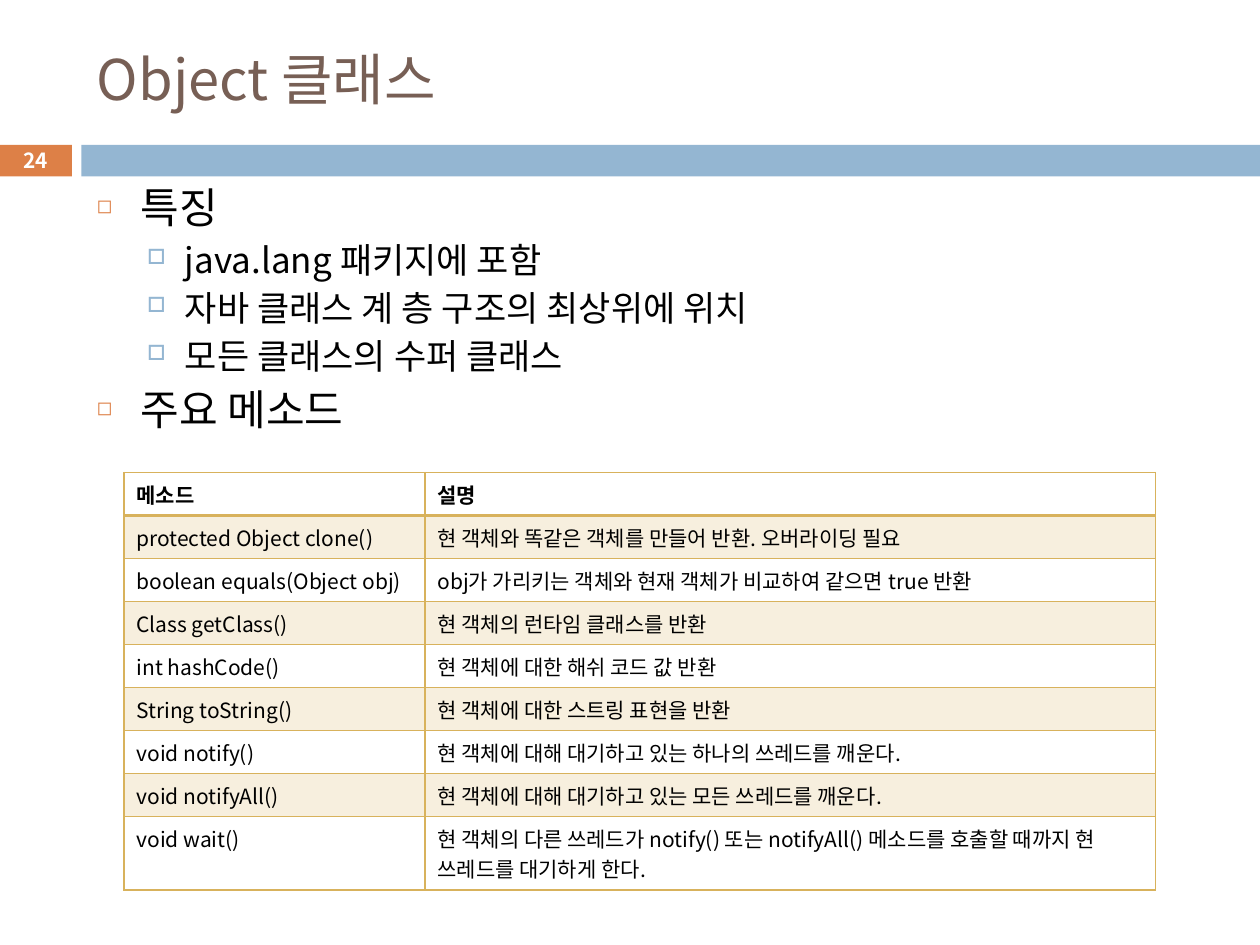
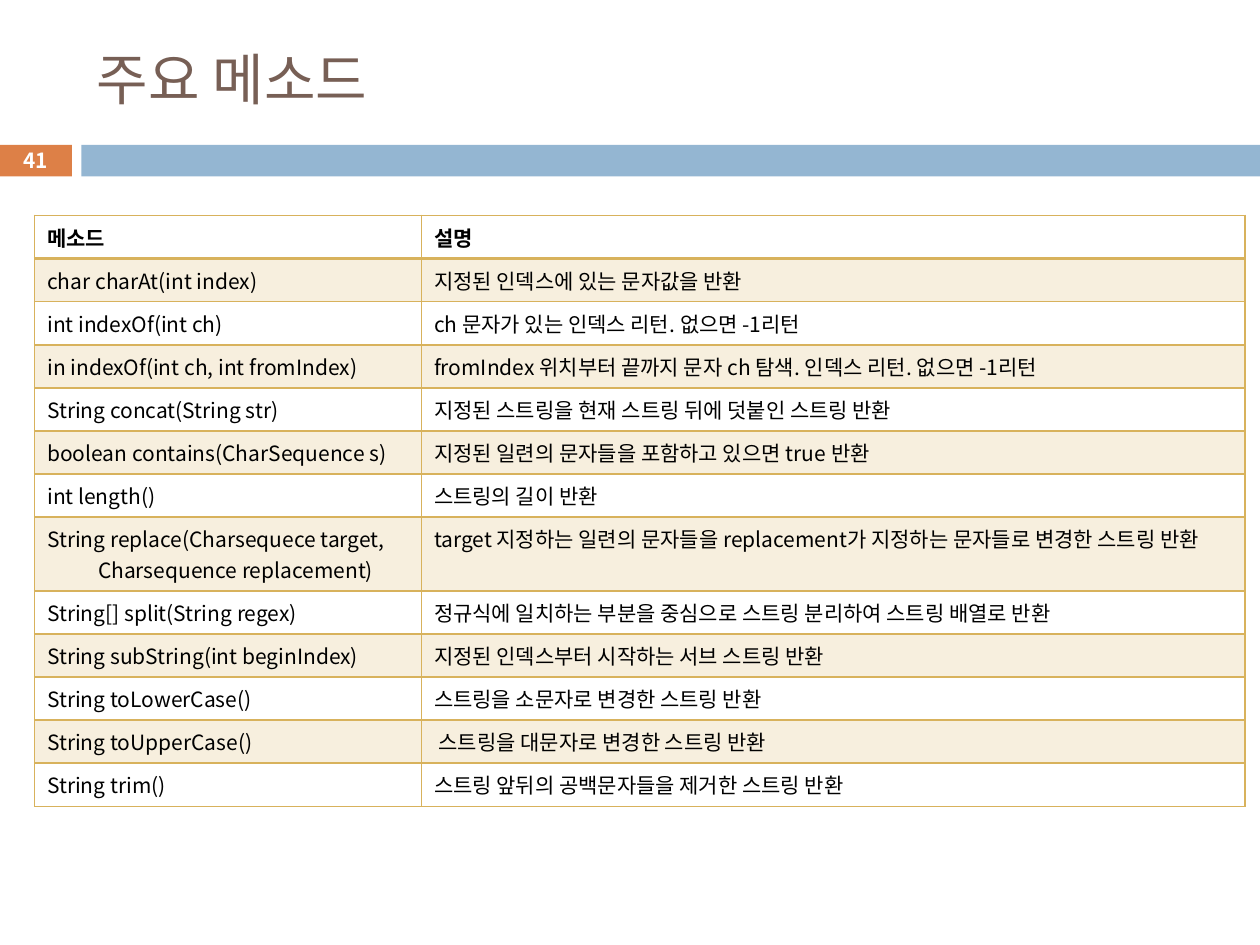
from dataclasses import dataclass

from lxml.etree import SubElement
from pptx import Presentation
from pptx.dml.color import RGBColor
from pptx.enum.shapes import MSO_SHAPE
from pptx.enum.text import MSO_ANCHOR, MSO_AUTO_SIZE, PP_ALIGN
from pptx.oxml.ns import qn
from pptx.util import Pt


@dataclass(frozen=True)
class Theme:
    font: str = "Noto Sans CJK KR"
    title: str = "775F55"
    text: str = "000000"
    number: str = "FFFFFF"
    orange: str = "DD8047"
    blue: str = "94B6D2"
    gold: str = "D8B25C"
    title_size: float = 32
    topic_size: float = 24
    detail_size: float = 20
    table_size: float = 12
    number_size: float = 11.9


THEME = Theme()


def add_xml(parent, tag, **attributes):
    return SubElement(parent, qn(tag), attributes)


def add_run(paragraph, text, size, color, bold=False):
    run = paragraph.add_run()
    run.text = text
    run.font.name = THEME.font
    run.font.size = Pt(size)
    run.font.bold = bold
    run.font.color.rgb = RGBColor.from_string(color)
    add_xml(run.font._element, "a:ea", typeface=THEME.font)


# Content: outline entries are (level, text); a line break in a cell starts an indented line
OUTLINE = [
    (0, "특징"),
    (1, "java.lang 패키지에 포함"),
    (1, "자바 클래스 계 층 구조의 최상위에 위치"),
    (1, "모든 클래스의 수퍼 클래스"),
    (0, "주요 메소드"),
]
HEADER = ("메소드", "설명")
OBJECT_METHODS = [
    ("protected Object clone()", "현 객체와 똑같은 객체를 만들어 반환. 오버라이딩 필요"),
    ("boolean equals(Object obj)", "obj가 가리키는 객체와 현재 객체가 비교하여 같으면 true 반환"),
    ("Class getClass()", "현 객체의 런타임 클래스를 반환"),
    ("int hashCode()", "현 객체에 대한 해쉬 코드 값 반환"),
    ("String toString()", "현 객체에 대한 스트링 표현을 반환"),
    ("void notify()", "현 객체에 대해 대기하고 있는 하나의 쓰레드를 깨운다."),
    ("void notifyAll()", "현 객체에 대해 대기하고 있는 모든 쓰레드를 깨운다."),
    ("void wait()", "현 객체의 다른 쓰레드가 notify() 또는 notifyAll() 메소드를 "
                    "호출할 때까지 현 쓰레드를 대기하게 한다."),
]
STRING_METHODS = [
    ("char charAt(int index)", "지정된 인덱스에 있는 문자값을 반환"),
    ("int indexOf(int ch)", "ch 문자가 있는 인덱스 리턴. 없으면 -1리턴"),
    ("in indexOf(int ch, int fromIndex)",
     "fromIndex 위치부터 끝까지 문자 ch 탐색. 인덱스 리턴. 없으면 -1리턴"),
    ("String concat(String str)", "지정된 스트링을 현재 스트링 뒤에 덧붙인 스트링 반환"),
    ("boolean contains(CharSequence s)", "지정된 일련의 문자들을 포함하고 있으면 true 반환"),
    ("int length()", "스트링의 길이 반환"),
    ("String replace(Charsequece target,\nCharsequence replacement)",
     "target 지정하는 일련의 문자들을 replacement가 지정하는 문자들로 변경한 스트링 반환"),
    ("String[] split(String regex)",
     "정규식에 일치하는 부분을 중심으로 스트링 분리하여 스트링 배열로 반환"),
    ("String subString(int beginIndex)", "지정된 인덱스부터 시작하는 서브 스트링 반환"),
    ("String toLowerCase()", "스트링을 소문자로 변경한 스트링 반환"),
    ("String toUpperCase()", " 스트링을 대문자로 변경한 스트링 반환"),
    ("String trim()", "스트링 앞뒤의 공백문자들을 제거한 스트링 반환"),
]

# Title, page number, outline, method rows, table left and top, column widths,
# and the row that holds two lines
PAGES = [
    ("Object 클래스", "24", OUTLINE, OBJECT_METHODS, 70.8, 270, (172, 417.6), 8),
    ("주요 메소드", "41", [], STRING_METHODS, 19.8, 123.1, (221, 470.6), 7),
]
BANDS = [(-0.72, 41.76, THEME.orange), (46.5, 673.5, THEME.blue)]
# Per level: size, left margin, hanging indent, space before, bullet, its colour and percent
LEVELS = [
    (THEME.topic_size, 25.2, 25.2, 7, "◻", THEME.orange, 46),
    (THEME.detail_size, 50.4, 21.6, 5.5, "□", THEME.blue, 60),
]
ROW_HEIGHT, TWO_LINE_HEIGHT = 24.6, 42
CONTINUATION_INDENT = 29

presentation = Presentation()
presentation.slide_width, presentation.slide_height = Pt(720), Pt(540)
title_only = presentation.slide_layouts[5]

for heading, number, outline, methods, left, top, widths, two_line_row in PAGES:
    slide = presentation.slides.add_slide(title_only)

    # Bands under the title
    for band_left, band_width, color in BANDS:
        band = slide.shapes.add_shape(MSO_SHAPE.RECTANGLE, Pt(band_left), Pt(82.8),
                                      Pt(band_width), Pt(18))
        band.shadow.inherit = False
        band.fill.solid()
        band.fill.fore_color.rgb = RGBColor.from_string(color)
        band.line.fill.background()

    # Title
    title = slide.shapes.title
    title.left, title.top, title.width, title.height = Pt(48.2), Pt(18), Pt(642.2), Pt(53.3)
    title.text_frame.auto_size = MSO_AUTO_SIZE.NONE
    title.text_frame.vertical_anchor = MSO_ANCHOR.MIDDLE
    title.text_frame.paragraphs[0].alignment = PP_ALIGN.LEFT
    add_run(title.text_frame.paragraphs[0], heading, THEME.title_size, THEME.title)

    # Outline
    if outline:
        topics = slide.shapes.add_textbox(Pt(48.2), Pt(103.4), Pt(642.2), Pt(157.7)).text_frame
        topics.word_wrap = True
        for index, (level, text) in enumerate(outline):
            size, margin, hanging, before, bullet, color, percent = LEVELS[level]
            topic = topics.add_paragraph() if index else topics.paragraphs[0]
            topic.level = level
            topic.line_spacing = 0.91
            topic.space_before = Pt(before if index else 0)
            properties = topic._p.get_or_add_pPr()
            properties.set("marL", str(Pt(margin)))
            properties.set("indent", str(-Pt(hanging)))
            add_xml(add_xml(properties, "a:buClr"), "a:srgbClr", val=color)
            add_xml(properties, "a:buSzPct", val=str(percent * 1000))
            add_xml(properties, "a:buChar", char=bullet)
            add_run(topic, text, size, THEME.text)

    # Method table
    rows = [HEADER] + methods
    table = slide.shapes.add_table(len(rows), len(widths), Pt(left), Pt(top), Pt(sum(widths)),
                                   Pt(ROW_HEIGHT * len(rows))).table
    table.first_row = table.horz_banding = False
    for column, width in zip(table.columns, widths):
        column.width = Pt(width)
    for row_index, texts in enumerate(rows):
        row_height = TWO_LINE_HEIGHT if row_index == two_line_row else ROW_HEIGHT
        table.rows[row_index].height = Pt(row_height)
        for column_index, text in enumerate(texts):
            cell = table.cell(row_index, column_index)
            for line_index, line in enumerate(text.split("\n")):
                paragraphs = cell.text_frame
                paragraph = paragraphs.add_paragraph() if line_index else paragraphs.paragraphs[0]
                if line_index:
                    paragraph._p.get_or_add_pPr().set("marL", str(Pt(CONTINUATION_INDENT)))
                add_run(paragraph, line, THEME.table_size, THEME.text, bold=row_index == 0)

            # The rule below the header is twice as thick
            cell_properties = cell._tc.get_or_add_tcPr()
            for side in "LRTB":
                thick = (row_index, side) in ((0, "B"), (1, "T"))
                border = add_xml(cell_properties, f"a:ln{side}", w=str(Pt(2 if thick else 1)))
                add_xml(add_xml(border, "a:solidFill"), "a:srgbClr", val=THEME.gold)

            # Every other row is tinted
            if row_index % 2:
                cell.fill.solid()
                cell.fill.fore_color.rgb = RGBColor.from_string(THEME.gold)
                tint = cell_properties.find(qn("a:solidFill")).find(qn("a:srgbClr"))
                add_xml(tint, "a:alpha", val="20000")
            else:
                cell.fill.background()

    # Page number
    page = slide.shapes.add_textbox(Pt(-0.72), Pt(82), Pt(41.76), Pt(19.4)).text_frame
    page.word_wrap = True
    page.vertical_anchor = MSO_ANCHOR.MIDDLE
    page.paragraphs[0].alignment = PP_ALIGN.CENTER
    add_run(page.paragraphs[0], number, THEME.number_size, THEME.number, bold=True)

presentation.save("out.pptx")
